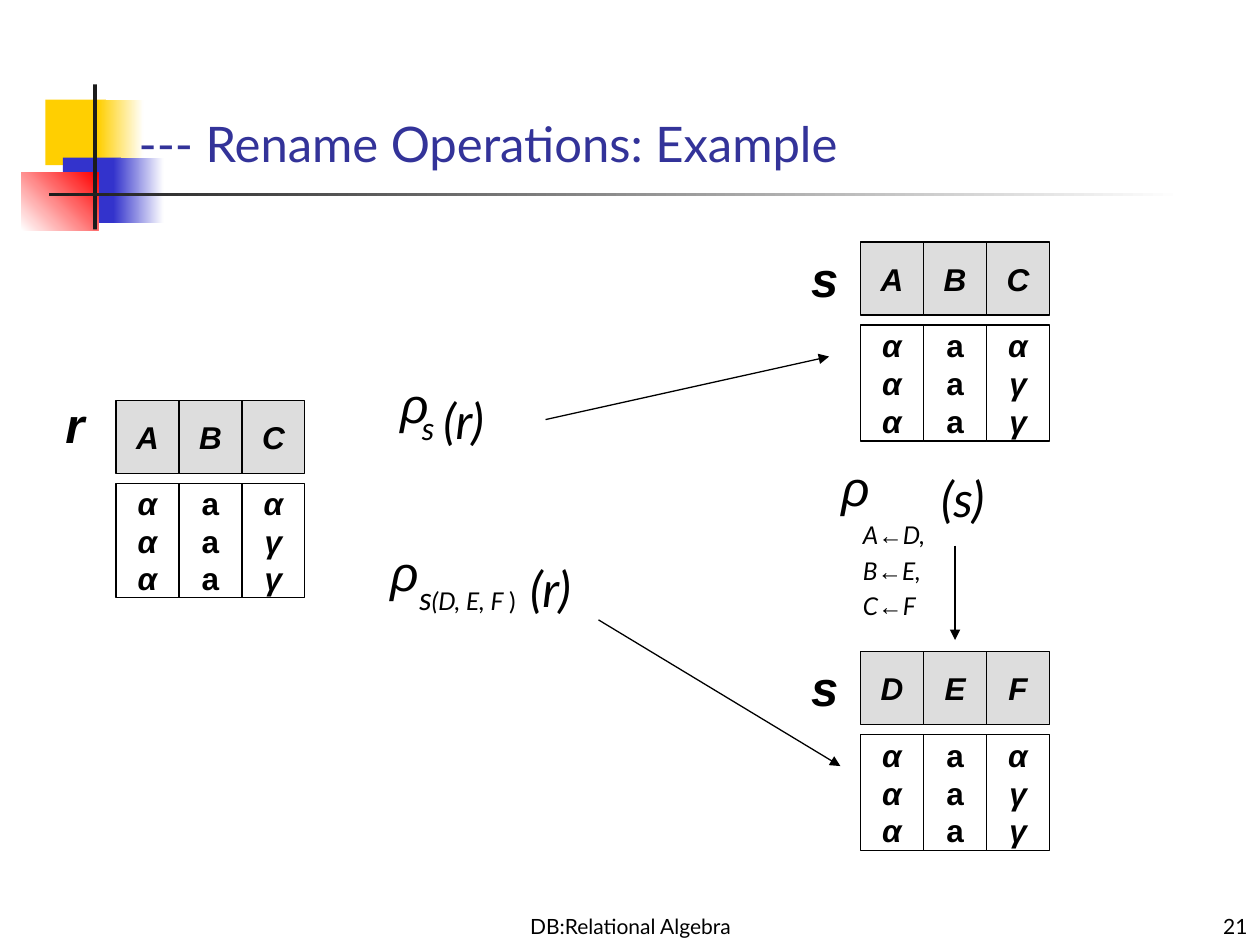
from dataclasses import dataclass

from lxml import etree
from pptx import Presentation
from pptx import util as u
from pptx.dml.color import RGBColor
from pptx.enum import shapes, text
from pptx.oxml import ns

BLACK = RGBColor(0x00, 0x00, 0x00)
WHITE = RGBColor(0xFF, 0xFF, 0xFF)
CHARCOAL = RGBColor(0x1C, 0x1C, 0x1C)
HEADER_GRAY = RGBColor(0xDD, 0xDD, 0xDD)
YELLOW = RGBColor(0xFF, 0xCF, 0x01)
BLUE = RGBColor(0x33, 0x33, 0xCC)
RED = RGBColor(0xFF, 0x00, 0x00)
TITLE_BLUE = RGBColor(0x33, 0x33, 0x99)

SANS, SYMBOL = "Lato", "Arial"
LEFT, CENTER, RIGHT = text.PP_ALIGN.LEFT, text.PP_ALIGN.CENTER, text.PP_ALIGN.RIGHT
TOP, MIDDLE, BOTTOM = text.MSO_ANCHOR.TOP, text.MSO_ANCHOR.MIDDLE, text.MSO_ANCHOR.BOTTOM

COLUMN_WIDTH, HEADER_HEIGHT, BODY_OFFSET = 0.5, 0.58, 0.66
COLUMN_VALUES = ("ααα", "aaa", "αγγ")


@dataclass(frozen=True)
class Box:
    left: float
    top: float
    width: float
    height: float

    def lengths(self) -> tuple:
        return tuple(u.Inches(v) for v in (self.left, self.top, self.width, self.height))


@dataclass(frozen=True)
class Run:
    text: str
    size: float
    font: str = SANS
    italic: bool = True


@dataclass(frozen=True)
class Relation:
    name: str
    name_box: Box
    left: float
    top: float
    body_height: float
    columns: str


@dataclass(frozen=True)
class Ornament:
    box: Box
    start: RGBColor
    end: RGBColor | None = None
    angle: float = 0


@dataclass(frozen=True)
class Arrow:
    start: tuple[float, float]
    end: tuple[float, float]


ORNAMENTS = (
    Ornament(Box(0.36, 0.79, 0.48, 0.52), YELLOW),
    Ornament(Box(0.78, 0.79, 0.36, 0.52), YELLOW, WHITE),
    Ornament(Box(0.5, 1.25, 0.46, 0.52), BLUE),
    Ornament(Box(0.9, 1.25, 0.4, 0.52), BLUE, WHITE),
    Ornament(Box(0.17, 1.37, 0.61, 0.46), WHITE, RED, 45),
    Ornament(Box(0.74, 0.67, 0.03, 1.15), CHARCOAL),
    Ornament(Box(0.39, 1.53, 9, 0.03), CHARCOAL, WHITE),
)
RELATIONS = (
    Relation("s", Box(6.34, 1.92, 0.41, 0.57), 6.83, 1.92, 0.92, "ABC"),
    Relation("r", Box(0.42, 3.08, 0.35, 0.57), 0.92, 3.18, 0.9, "ABC"),
    Relation("s", Box(6.34, 5.17, 0.41, 0.57), 6.83, 5.17, 0.92, "DEF"),
)
RHO = [[Run("ρ", 28, SYMBOL)]]
EXPRESSIONS = (
    # s(D, E, F) renaming of r
    (Box(3.23, 4.55, 1.05, 0.67),
     [[Run("s", 18), Run("(D, E, F ", 14), Run(")", 14, italic=False)]]),
    (Box(3, 4.26, 0.52, 1.04), RHO),
    (Box(4.11, 4.38, 0.58, 1.04), [[Run("(r)", 28)]]),
    # s renaming of r
    (Box(3.25, 3.2, 0.31, 0.7), [[Run("s", 18)]]),
    (Box(3.08, 2.92, 0.52, 1.04), RHO),
    (Box(3.42, 3.05, 0.58, 1.04), [[Run("(r)", 28)]]),
    # Attribute renaming of s
    (Box(6.75, 4.08, 0.75, 0.9),
     [[Run(old, 14), Run("←", 14, SYMBOL), Run(new, 14)]
      for old, new in zip("ABC", ("D,", "E,", "F"))]),
    (Box(6.58, 3.58, 0.52, 0.57), RHO),
    (Box(7.37, 3.67, 0.59, 0.57), [[Run("(s)", 28)]]),
)
ARROWS = (
    Arrow((4.33, 3.33), (6.58, 2.83)),
    Arrow((4.75, 4.92), (6.67, 6.08)),
    Arrow((7.58, 4.33), (7.58, 5.08)),
)


def write_text(shape, lines: list[list[Run]], *, color=BLACK, bold=False,
               align=LEFT, anchor=TOP, wrap=False, space_before=0) -> None:
    frame = shape.text_frame
    frame.word_wrap = wrap
    frame.auto_size = text.MSO_AUTO_SIZE.NONE
    frame.vertical_anchor = anchor
    for index, line in enumerate(lines):
        paragraph = frame.add_paragraph() if index else frame.paragraphs[0]
        paragraph.alignment = align
        paragraph.space_before = u.Pt(space_before if index else 0)
        for part in line:
            run = paragraph.add_run()
            run.text = part.text
            run.font.name = part.font
            run.font.size = u.Pt(part.size)
            run.font.bold = bold
            run.font.italic = part.italic
            run.font.color.rgb = color


def add_text(slide, box: Box, lines: list[list[Run]], **style) -> None:
    write_text(slide.shapes.add_textbox(*box.lengths()), lines, **style)


def add_rectangle(slide, box: Box):
    shape = slide.shapes.add_shape(shapes.MSO_SHAPE.RECTANGLE, *box.lengths())
    shape.shadow.inherit = False
    return shape


def draw_ornament(slide, ornament: Ornament) -> None:
    shape = add_rectangle(slide, ornament.box)
    shape.line.fill.background()
    if ornament.end is None:
        shape.fill.solid()
        shape.fill.fore_color.rgb = ornament.start
        return
    shape.fill.gradient()
    shape.fill.gradient_angle = ornament.angle
    for stop, color in zip(shape.fill.gradient_stops, (ornament.start, ornament.end)):
        stop.color.rgb = color


def draw_cell(slide, box: Box, values: str, fill: RGBColor) -> None:
    shape = add_rectangle(slide, box)
    shape.fill.solid()
    shape.fill.fore_color.rgb = fill
    shape.line.color.rgb = BLACK
    shape.line.width = u.Pt(0.75)
    lines = [[Run(value, 18, SYMBOL, italic=value != "a")] for value in values]
    write_text(shape, lines, bold=True, align=CENTER, anchor=MIDDLE)


def draw_relation(slide, relation: Relation) -> None:
    add_text(slide, relation.name_box, [[Run(relation.name, 28, SYMBOL)]],
             bold=True, align=CENTER, anchor=MIDDLE)
    for index, (column, values) in enumerate(zip(relation.columns, COLUMN_VALUES)):
        left = relation.left + index * COLUMN_WIDTH
        draw_cell(slide, Box(left, relation.top, COLUMN_WIDTH, HEADER_HEIGHT),
                  column, HEADER_GRAY)
        draw_cell(slide, Box(left, relation.top + BODY_OFFSET, COLUMN_WIDTH,
                             relation.body_height), values, WHITE)


def draw_arrow(slide, arrow: Arrow) -> None:
    ends = (u.Inches(v) for v in arrow.start + arrow.end)
    connector = slide.shapes.add_connector(shapes.MSO_CONNECTOR.STRAIGHT, *ends)
    connector.line.color.rgb = BLACK
    connector.line.width = u.Pt(0.75)
    etree.SubElement(connector.line._get_or_add_ln(), ns.qn("a:tailEnd"), type="triangle")
    etree.SubElement(connector._element.spPr, ns.qn("a:effectLst"))


def main() -> None:
    presentation = Presentation()
    presentation.slide_width, presentation.slide_height = u.Inches(10), u.Inches(7.5)
    slide = presentation.slides.add_slide(presentation.slide_layouts[5])

    # Corner ornament and rule
    for ornament in ORNAMENTS:
        draw_ornament(slide, ornament)

    # Title, in front of the ornament
    title = slide.shapes.title
    title.left, title.top, title.width, title.height = Box(1, 0.75, 8.52, 0.67).lengths()
    write_text(title, [[Run("--- Rename Operations: Example", 28, italic=False)]],
               color=TITLE_BLUE, anchor=BOTTOM, wrap=True)
    slide.shapes._spTree.append(title._element)

    # Footer and slide number
    for box, words, align in (
        (Box(3.42, 7.08, 3.17, 0.42), "DB:Relational Algebra", CENTER),
        (Box(7.92, 7.08, 2.08, 0.42), "21", RIGHT),
    ):
        add_text(slide, box, [[Run(words, 12, italic=False)]],
                 align=align, anchor=BOTTOM, wrap=True)

    # Relations, rename expressions and arrows
    for relation in RELATIONS:
        draw_relation(slide, relation)
    for box, lines in EXPRESSIONS:
        add_text(slide, box, lines, space_before=3.5)
    for arrow in ARROWS:
        draw_arrow(slide, arrow)

    presentation.save("out.pptx")


if __name__ == "__main__":
    main()
